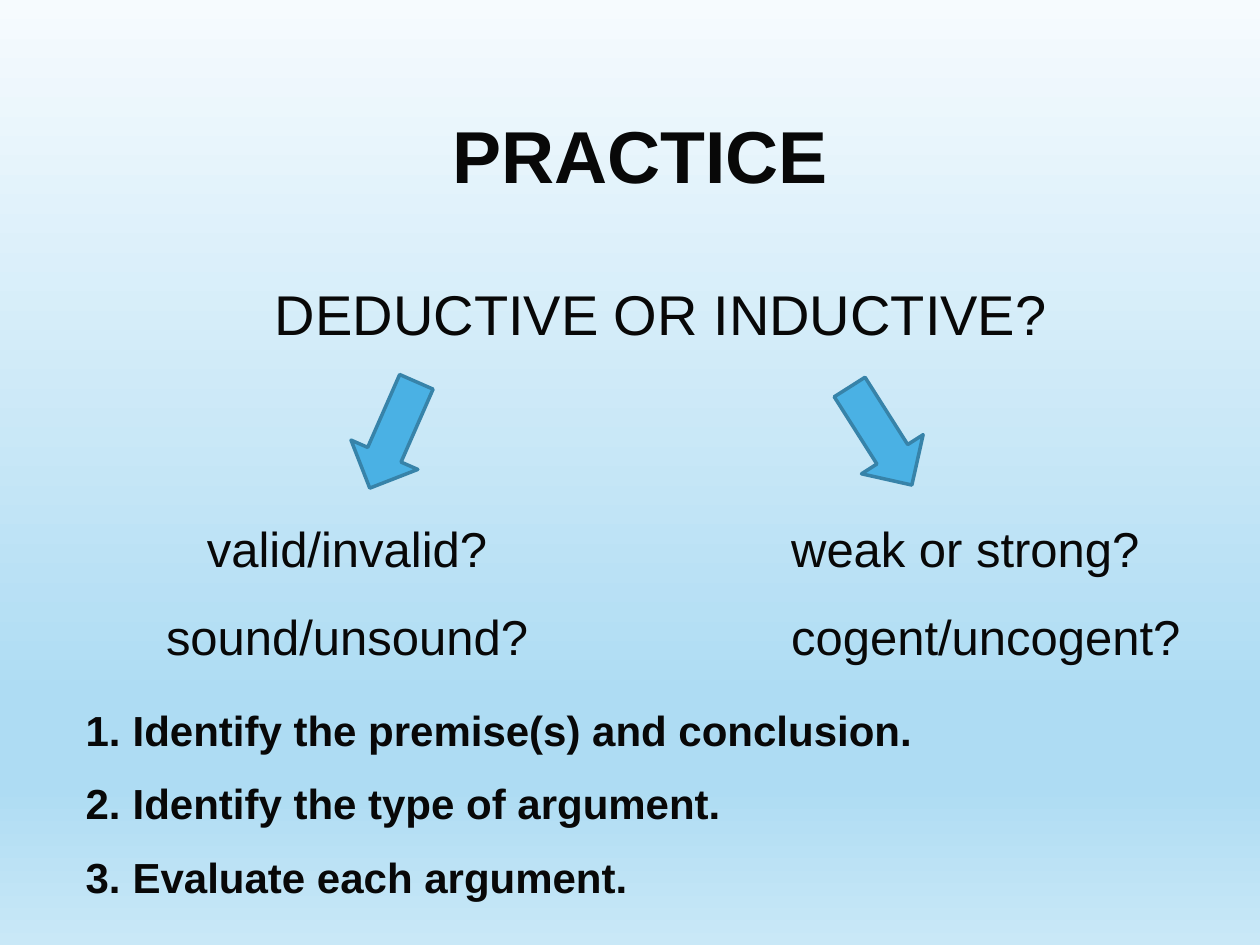
from lxml.etree import SubElement
from pptx import Presentation
from pptx.dml.color import RGBColor
from pptx.enum.shapes import MSO_SHAPE
from pptx.enum.text import MSO_ANCHOR, MSO_AUTO_SIZE, PP_ALIGN
from pptx.oxml.ns import qn
from pptx.util import Cm, Pt

COLORS = {
    "text": "080808",
    "arrow": "4AB1E4",
    "arrow_line": "3783A9",
    "sky_top": "F6FBFE",
    "sky_middle": "AEDCF3",
    "sky_bottom": "C9E8F7",
}
BACKGROUND_STOPS = [(0, "sky_top"), (74, "sky_middle"), (83, "sky_middle"), (100, "sky_bottom")]
FONT = "Arial"


def color(name):
    return RGBColor.from_string(COLORS[name])


def set_background(slide):
    """Fill the slide with a vertical gradient of four stops."""
    fill = slide.background.fill
    fill.gradient()
    fill.gradient_angle = 270
    stop_list = slide.background._cSld.find(".//" + qn("a:gsLst"))
    for stop in list(stop_list):
        stop_list.remove(stop)
    for percent, name in BACKGROUND_STOPS:
        stop = SubElement(stop_list, qn("a:gs"), pos=str(percent * 1000))
        SubElement(stop, qn("a:srgbClr"), val=COLORS[name])


def place(shape, left, top, width, height):
    shape.left, shape.top = Cm(left), Cm(top)
    shape.width, shape.height = Cm(width), Cm(height)


def number_paragraph(paragraph, indent):
    properties = paragraph._p.get_or_add_pPr()
    properties.set("marL", str(Cm(indent)))
    properties.set("indent", str(-Cm(indent)))
    SubElement(properties, qn("a:buFont"), typeface="+mj-lt")
    SubElement(properties, qn("a:buAutoNum"), type="arabicPeriod")


def write_lines(shape, lines, size, alignment, bold=False, line_spacing=1.0,
                space_after=0, anchor=MSO_ANCHOR.TOP, numbered=False):
    frame = shape.text_frame
    frame.word_wrap = True
    frame.auto_size = MSO_AUTO_SIZE.NONE
    frame.vertical_anchor = anchor
    for index, line in enumerate(lines):
        paragraph = frame.add_paragraph() if index else frame.paragraphs[0]
        paragraph.alignment = alignment
        paragraph.line_spacing = line_spacing
        paragraph.space_before = Pt(0)
        paragraph.space_after = Pt(space_after)
        if numbered:
            number_paragraph(paragraph, 0.95)
        run = paragraph.add_run()
        run.text = line
        run.font.name = FONT
        run.font.size = Pt(size)
        run.font.bold = bold
        run.font.color.rgb = color("text")


def add_text(slide, box, lines, size, alignment, **options):
    shape = slide.shapes.add_textbox(*map(Cm, box))
    write_lines(shape, lines, size, alignment, line_spacing=1.5, **options)


def add_arrow(slide, left, top, rotation):
    arrow = slide.shapes.add_shape(MSO_SHAPE.DOWN_ARROW, Cm(left), Cm(top), Cm(1.47), Cm(2.34))
    arrow.rotation = rotation
    arrow.shadow.inherit = False
    arrow.fill.solid()
    arrow.fill.fore_color.rgb = color("arrow")
    arrow.line.color.rgb = color("arrow_line")
    arrow.line.width = Pt(2)


def main():
    presentation = Presentation()
    presentation.slide_width, presentation.slide_height = Cm(25.4), Cm(19.05)
    slide = presentation.slides.add_slide(presentation.slide_layouts[1])
    set_background(slide)

    title, steps = slide.placeholders
    place(title, 1.47, 1.9, 22.86, 2.41)
    write_lines(title, ["PRACTICE"], 42, PP_ALIGN.CENTER, bold=True, anchor=MSO_ANCHOR.MIDDLE)

    add_text(slide, (1.9, 5.08, 22.86, 1.78), ["DEDUCTIVE OR INDUCTIVE?"], 32,
             PP_ALIGN.CENTER, anchor=MSO_ANCHOR.MIDDLE)
    add_text(slide, (1.7, 9.73, 10.59, 3.84), ["valid/invalid?", "sound/unsound?"], 28,
             PP_ALIGN.CENTER)
    add_text(slide, (15.7, 9.73, 9.09, 3.84), ["weak or strong?", "cogent/uncogent?"], 28,
             PP_ALIGN.JUSTIFY)
    add_arrow(slide, 7.19, 7.6, 23.7)
    add_arrow(slide, 17.02, 7.62, 327.6)

    place(steps, 1.47, 14.07, 21.39, 4.1)
    write_lines(steps, [
        "Identify the premise(s) and conclusion.",
        "Identify the type of argument.",
        "Evaluate each argument.",
    ], 24, PP_ALIGN.LEFT, bold=True, space_after=13.25, numbered=True)

    presentation.save("out.pptx")


if __name__ == "__main__":
    main()
